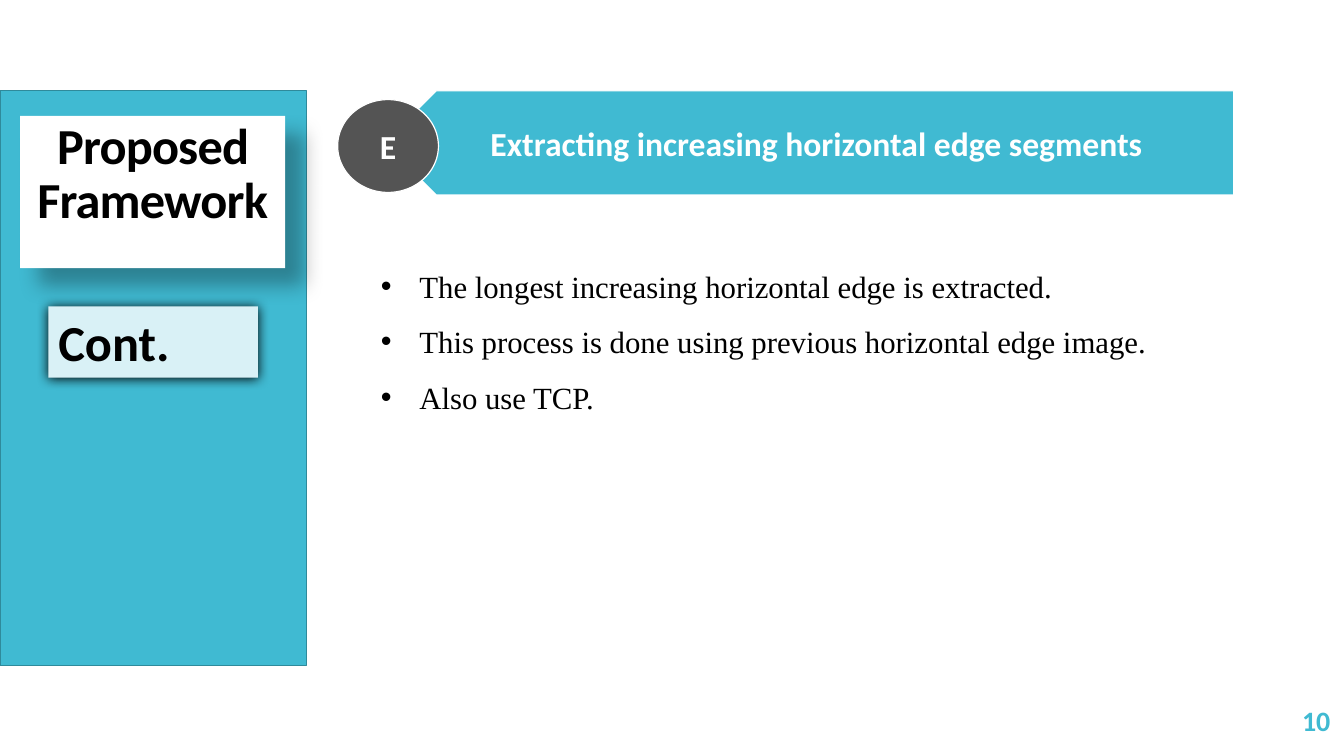
from lxml.etree import SubElement as Sub
from pptx import Presentation as Deck
from pptx.dml.color import RGBColor as Rgb
from pptx.enum.shapes import MSO_SHAPE as Kind
from pptx.enum.text import MSO_ANCHOR as Anchor, PP_ALIGN as Align
from pptx.oxml.ns import qn
from pptx.util import Cm, Pt

TEAL, WHITE, BLACK = "40BAD2", "FFFFFF", "000000"


def paint(fmt, color):
    """Set a solid colour on a fill."""
    fmt.solid()
    fmt.fore_color.rgb = Rgb.from_string(color)


def shape(slide, kind, box, color, edge=None):
    """Add a filled shape, with a thin edge if one is given."""
    item = slide.shapes.add_shape(kind, *map(Cm, box))
    item.shadow.inherit = False
    paint(item.fill, color)
    if edge:
        paint(item.line.fill, edge)
        item.line.width = Pt(0.85)
    else:
        item.line.fill.background()
    return item


def shade(item, blur, dist, angle, alpha):
    """Drop a black shadow: points, degrees and percent."""
    effects = item.element.spPr.find(qn("a:effectLst"))
    outer = Sub(effects, qn("a:outerShdw"), blurRad=str(Pt(blur)),
                dist=str(Pt(dist)), dir=str(angle * 60000),
                algn="tl", rotWithShape="0")
    black = Sub(outer, qn("a:srgbClr"), val=BLACK)
    Sub(black, qn("a:alpha"), val=str(alpha * 1000))


def area(slide, box):
    """Add an empty text box."""
    return slide.shapes.add_textbox(*map(Cm, box))


def write(item, *lines, size=24, font="Calibri", color=BLACK, bold=True,
          align=Align.LEFT, anchor=Anchor.TOP, space=1.0, track=0,
          left=0.25, bullet=None):
    """Write one paragraph per line of text."""
    frame = item.text_frame
    frame.word_wrap = True
    frame.vertical_anchor = anchor
    frame.margin_left = Cm(left)
    for i, line in enumerate(lines):
        para = frame.add_paragraph() if i else frame.paragraphs[0]
        para.alignment, para.line_spacing = align, space
        run = para.add_run()
        run.text = line
        run.font.size, run.font.name, run.font.bold = Pt(size), font, bold
        paint(run.font.fill, color)
        if track:
            run.font._element.set("spc", str(round(track * 100)))
        if bullet:
            props = para._p.get_or_add_pPr()
            props.set("marL", str(Cm(0.97)))
            props.set("indent", str(-Cm(0.97)))
            Sub(props, qn("a:buFont"), typeface="Arial")
            Sub(props, qn("a:buChar"), char=bullet)


def main():
    deck = Deck()
    deck.slide_width, deck.slide_height = Cm(33.87), Cm(19.05)
    slide = deck.slides.add_slide(deck.slide_layouts[6])

    # Side panel with its two labels
    shape(slide, Kind.RECTANGLE, (0, 2.29, 7.72, 14.48), TEAL, "2F8A9B")
    title = shape(slide, Kind.RECTANGLE, (0.51, 2.92, 6.68, 3.84), WHITE)
    shade(title, 15, 18, 45, 30)
    write(title, "Proposed Framework", size=36, align=Align.CENTER,
          space=0.9, track=-0.6)
    cont = shape(slide, Kind.RECTANGLE, (1.22, 7.72, 5.28, 1.8), "D9F1F6")
    shade(cont, 8.5, 1, 90, 100)
    write(cont, "Cont.", size=36)

    # Banner with the step letter
    arrow = shape(slide, Kind.PENTAGON, (9.68, 2.29, 21.41, 2.62),
                  TEAL, WHITE)
    arrow.rotation = 180
    write(area(slide, (10.46, 2.29, 20.62, 2.62)),
          "Extracting increasing horizontal edge segments",
          color=WHITE, anchor=Anchor.MIDDLE, left=1.9)
    badge = shape(slide, Kind.OVAL, (8.51, 2.51, 2.54, 2.34),
                  "545454", WHITE)
    write(badge, "E", color=WHITE, align=Align.CENTER, anchor=Anchor.MIDDLE)

    # Bullet list
    write(area(slide, (9.35, 6.15, 22.86, 5.74)),
          "The longest increasing horizontal edge is extracted.",
          "This process is done using previous horizontal edge image.",
          "Also use TCP.",
          size=22, font="Times New Roman", bold=False,
          align=Align.JUSTIFY, space=1.5, bullet="•")

    # Page number
    write(area(slide, (29.54, 17.65, 4.24, 1.02)), "10", size=20,
          color=TEAL, align=Align.RIGHT, anchor=Anchor.MIDDLE)

    deck.save("out.pptx")


if __name__ == "__main__":
    main()
